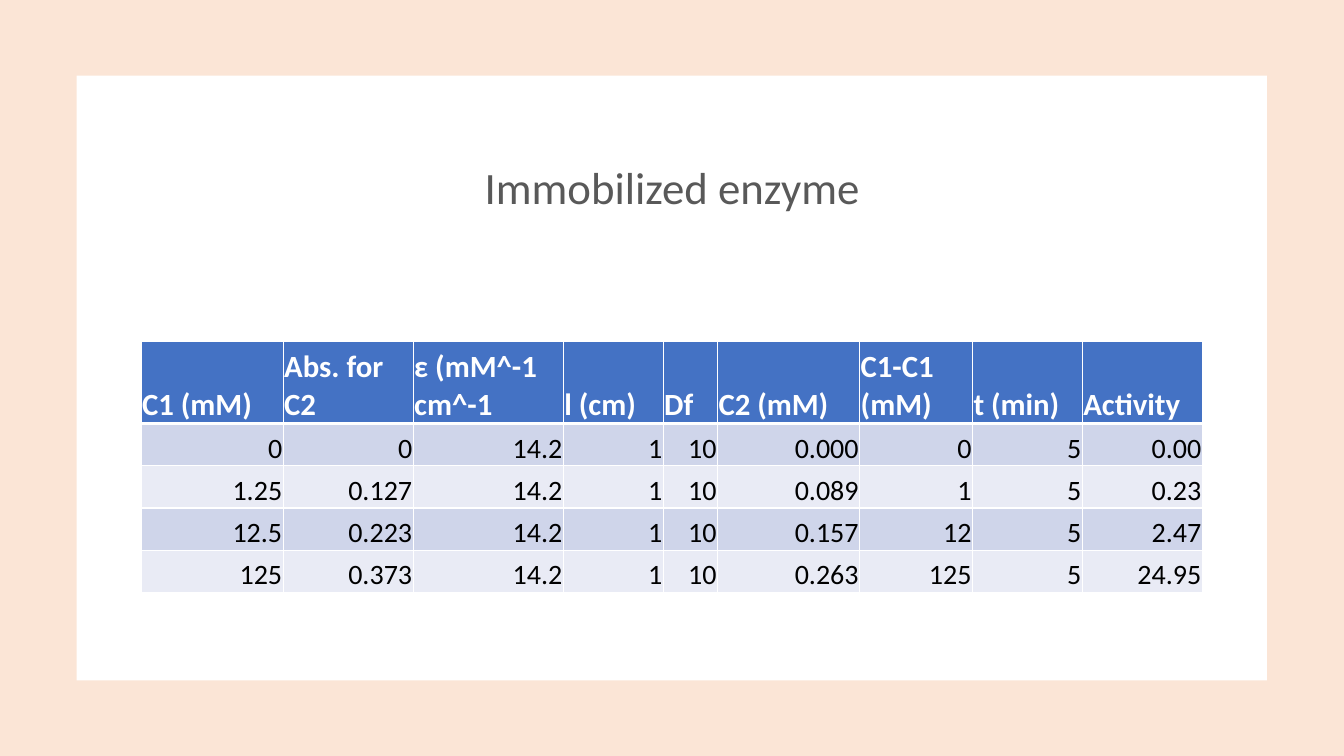
from lxml import etree
from pptx import Presentation
from pptx import util as u
from pptx.dml.color import RGBColor
from pptx.enum import shapes, text
from pptx.oxml import ns

Pt = u.Pt

PEACH = RGBColor(0xFB, 0xE5, 0xD6)
WHITE = RGBColor(0xFF, 0xFF, 0xFF)
GREY = RGBColor(0x59, 0x59, 0x59)
BLACK = RGBColor(0x00, 0x00, 0x00)
BLUE = RGBColor(0x44, 0x72, 0xC4)
BANDS = [RGBColor(0xCF, 0xD5, 0xEA), RGBColor(0xE9, 0xEB, 0xF5)]

TITLE = "Immobilized enzyme"
HEADERS = ["C1 (mM)", "Abs. for C2", "ε (mM^-1 cm^-1", "l (cm)", "Df",
           "C2 (mM)", "C1-C1 (mM)", "t (min)", "Activity"]
READINGS = [
    ["0", "0", "14.2", "1", "10", "0.000", "0", "5", "0.00"],
    ["1.25", "0.127", "14.2", "1", "10", "0.089", "1", "5", "0.23"],
    ["12.5", "0.223", "14.2", "1", "10", "0.157", "12", "5", "2.47"],
    ["125", "0.373", "14.2", "1", "10", "0.263", "125", "5", "24.95"],
]

SLIDE_SIZE = (960, 540)
PANELS = [((0, 0, *SLIDE_SIZE), PEACH), ((54.72, 54, 850.32, 432), WHITE)]
TITLE_BOX = (114.48, 81.36, 731.52, 108)
TABLE_CORNER = (100.8, 244.08)
COLUMN_WIDTHS = [101.52, 92.88, 107.28, 71.28, 38.88, 101.52, 80.64, 78.48, 85.68]
ROW_HEIGHTS = [58.32] + [30.24] * len(READINGS)

TITLE_FONT = {"name": "Calibri", "size": Pt(32), "bold": False}
HEADER_FONT = {"name": "Calibri", "size": Pt(22), "bold": True}
BODY_FONT = {"name": "Calibri", "size": Pt(20), "bold": False}
CELL_FORMAT = {
    "margin_left": Pt(0.72), "margin_top": Pt(0.72), "margin_right": Pt(0.72),
    "margin_bottom": Pt(0), "vertical_anchor": text.MSO_ANCHOR.BOTTOM,
}


def set_all(target, values):
    for name, value in values.items():
        setattr(target, name, value)


def write(frame, words, font, color, align):
    frame.text = words
    para = frame.paragraphs[0]
    para.alignment = align
    span = para.runs[0]
    set_all(span.font, font)
    span.font.color.rgb = color
    return para


def set_borders(cell, widths):
    """Draw white cell edges; widths are in points, in the order L, R, T, B."""
    properties = cell._tc.get_or_add_tcPr()
    for position, (side, width) in enumerate(zip("LRTB", widths)):
        line = etree.Element(ns.qn(f"a:ln{side}"), w=str(Pt(width)))
        fill = etree.SubElement(line, ns.qn("a:solidFill"))
        etree.SubElement(fill, ns.qn("a:srgbClr"), val=str(WHITE))
        properties.insert(position, line)


def add_panels(slide):
    """Place the background panels behind the title."""
    for box, color in PANELS:
        panel = slide.shapes.add_shape(shapes.MSO_SHAPE.RECTANGLE, *map(Pt, box))
        panel.shadow.inherit = False
        panel.fill.solid()
        panel.fill.fore_color.rgb = color
        panel.line.fill.background()
        slide.shapes.title.element.addprevious(panel.element)


def add_title(slide):
    title = slide.shapes.title
    set_all(title, dict(zip(("left", "top", "width", "height"), map(Pt, TITLE_BOX))))
    frame = title.text_frame
    set_all(frame, {"word_wrap": True, "auto_size": text.MSO_AUTO_SIZE.NONE,
                    "vertical_anchor": text.MSO_ANCHOR.MIDDLE})
    para = write(frame, TITLE, TITLE_FONT, GREY, text.PP_ALIGN.CENTER)
    para.line_spacing = 0.9


def add_readings(slide):
    rows = [HEADERS] + READINGS
    size = (sum(COLUMN_WIDTHS), sum(ROW_HEIGHTS))
    table = slide.shapes.add_table(
        len(rows), len(HEADERS), *map(Pt, TABLE_CORNER + size)).table
    for column, width in zip(table.columns, COLUMN_WIDTHS):
        column.width = Pt(width)
    for row, height in zip(table.rows, ROW_HEIGHTS):
        row.height = Pt(height)

    for r, values in enumerate(rows):
        if r == 0:
            style = (HEADER_FONT, WHITE, text.PP_ALIGN.LEFT)
            fill = BLUE
        else:
            style = (BODY_FONT, BLACK, text.PP_ALIGN.RIGHT)
            fill = BANDS[(r - 1) % 2]
        borders = (1, 1, 3 if r == 1 else 1, 3 if r == 0 else 1)
        for c, value in enumerate(values):
            cell = table.cell(r, c)
            set_all(cell, CELL_FORMAT)
            cell.fill.solid()
            cell.fill.fore_color.rgb = fill
            write(cell.text_frame, value, *style)
            set_borders(cell, borders)


def main():
    deck = Presentation()
    deck.slide_width, deck.slide_height = map(Pt, SLIDE_SIZE)
    slide = deck.slides.add_slide(deck.slide_layouts.get_by_name("Title Only"))
    add_panels(slide)
    add_title(slide)
    add_readings(slide)
    deck.save("out.pptx")


if __name__ == "__main__":
    main()
